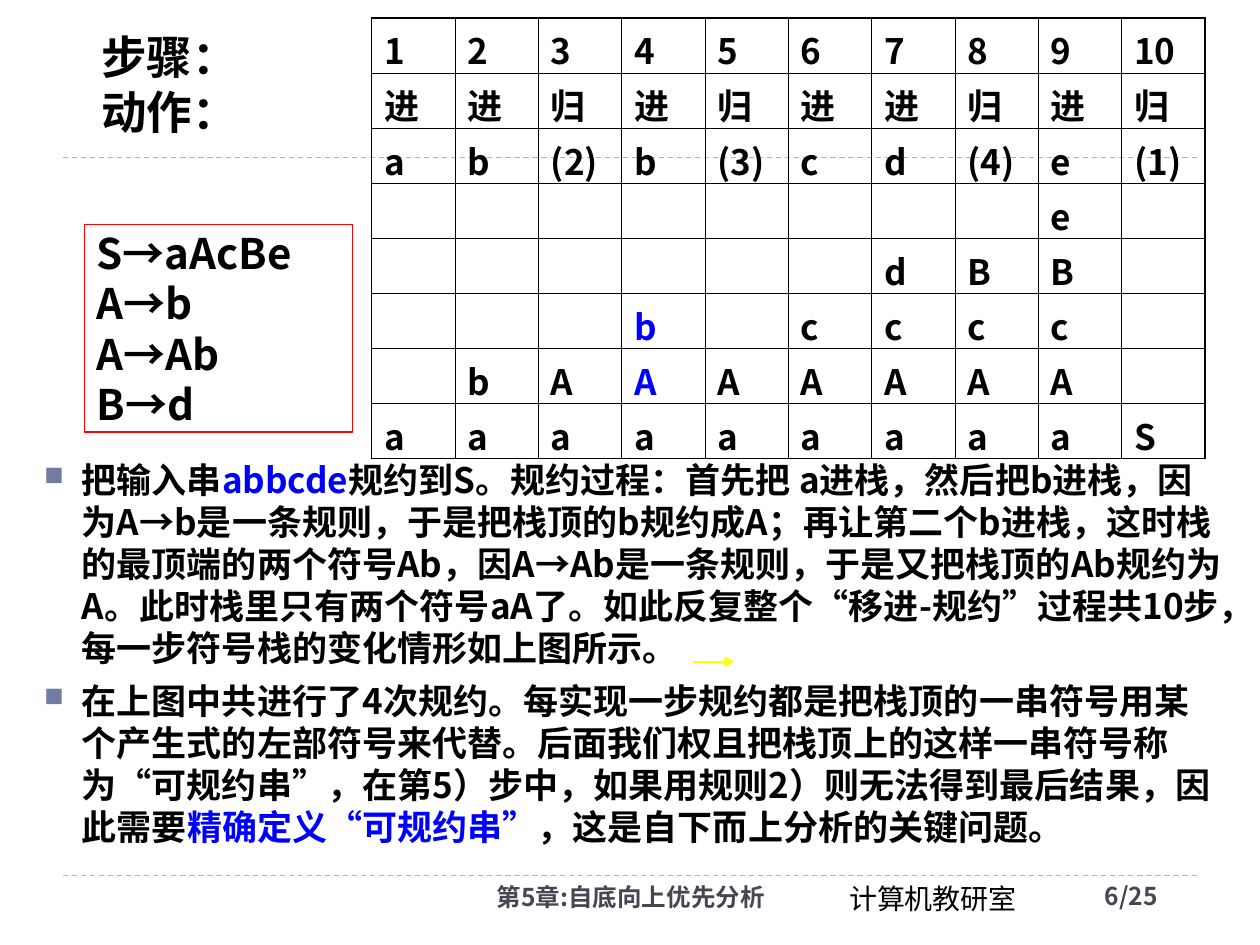
"""Build a slide on shift-reduce parsing with its stack table."""
from lxml.etree import SubElement
from pptx import Presentation
from pptx.dml.color import RGBColor
from pptx.enum.dml import MSO_LINE
from pptx.enum.shapes import MSO_CONNECTOR, MSO_SHAPE
from pptx.enum.text import MSO_ANCHOR, PP_ALIGN
from pptx.oxml.ns import qn
from pptx.util import Cm, Pt

SANS = "Noto Sans CJK SC"
BLACK, BLUE, SLATE = "000000", "0000FF", "464653"


def color(value):
    return RGBColor.from_string(value)


def write(para, spans, size, ink=BLACK, font=SANS, bold=True):
    for text, tint in spans:
        span = para.add_run()
        span.text = text
        if tint != ink:
            span.font.color.rgb = color(tint)
    para.font.size, para.font.bold, para.font.name = Pt(size), bold, font
    para.font.color.rgb = color(ink)
    SubElement(para.font._element, qn("a:ea"), typeface=SANS)


deck = Presentation()
deck.slide_width, deck.slide_height = Cm(25.4), Cm(19.05)
page = deck.slides.add_slide(deck.slide_layouts[6])

rules = []
for left, right, top, tint, width in [
    (1.27, 24.13, 17.65, "9FB8CD", 0.74),
    (1.27, 24.13, 3.18, "9FB8CD", 0.74),
    (13.97, 14.81, 13.34, "FFFF00", 1.25),
]:
    rule = page.shapes.add_connector(MSO_CONNECTOR.STRAIGHT, Cm(left), Cm(top), Cm(right), Cm(top))
    rule.line.color.rgb, rule.line.width = color(tint), Pt(width)
    SubElement(rule._element.spPr, qn("a:effectLst"))
    rules.append(rule)
*dividers, arrow = rules
for divider in dividers:
    divider.line.dash_style = MSO_LINE.DASH
SubElement(arrow.line._get_or_add_ln(), qn("a:tailEnd"), type="triangle")

for text, left, top, width, height, size, ink, font, bold, align in [
    ("计算机教研室", 16.87, 17.65, 4.22, 0.94, 16, BLACK, "Times New Roman", False, PP_ALIGN.LEFT),
    ("第5章:自底向上优先分析", 5.94, 17.65, 9.73, 1.02, 14, SLATE, SANS, True, PP_ALIGN.RIGHT),
    ("6/25", 22.02, 17.63, 2.77, 1.02, 14, SLATE, SANS, True, PP_ALIGN.LEFT),
    ("步骤：\n动作：", 1.5, 0.46, 3.84, 2.46, 26, BLACK, SANS, True, PP_ALIGN.CENTER),
]:
    box = page.shapes.add_textbox(Cm(left), Cm(top), Cm(width), Cm(height))
    frame = box.text_frame
    frame.word_wrap = True
    for index, line in enumerate(text.split("\n")):
        para = frame.add_paragraph() if index else frame.paragraphs[0]
        para.alignment = align
        write(para, [(line, ink)], size, ink, font, bold)

body = page.shapes.add_textbox(Cm(0.64), Cm(9.12), Cm(24.26), Cm(8.41)).text_frame
body.word_wrap = True
explanations = [
    [
        ("把输入串", BLACK),
        ("abbcde", BLUE),
        ("规约到S。规约过程：首先把 a进栈，然后把b进栈，因为A→b是一条规则，"
         "于是把栈顶的b规约成A；再让第二个b进栈，这时栈的最顶端的两个符号Ab，"
         "因A→Ab是一条规则，于是又把栈顶的Ab规约为A。此时栈里只有两个符号aA了。"
         "如此反复整个“移进-规约”过程共10步，每一步符号栈的变化情形如上图所示。", BLACK),
    ],
    [
        ("在上图中共进行了4次规约。每实现一步规约都是把栈顶的一串符号用某个产生式的"
         "左部符号来代替。后面我们权且把栈顶上的这样一串符号称为“可规约串”，"
         "在第5）步中，如果用规则2）则无法得到最后结果，因此需要", BLACK),
        ("精确定义“可规约串”", BLUE),
        ("，这是自下而上分析的关键问题。", BLACK),
    ],
]
for index, spans in enumerate(explanations):
    para = body.add_paragraph() if index else body.paragraphs[0]
    para.space_before = Pt(6)
    props = para._p.get_or_add_pPr()
    props.set("marL", str(Cm(0.76)))
    props.set("indent", str(Cm(-0.76)))
    SubElement(SubElement(props, qn("a:buClr")), qn("a:srgbClr"), val="727CA3")
    SubElement(props, qn("a:buSzPct"), val="76000")
    SubElement(props, qn("a:buChar"), char="■")
    write(para, spans, 20)

steps = [
    [str(number) for number in range(1, 11)],
    list("进进归进归进进归进归"),
    ["a", "b", "(2)", "b", "(3)", "c", "d", "(4)", "e", "(1)"],
]
stacks = ["a", "ab", "aA", "aAb", "aA", "aAc", "aAcd", "aAcB", "aAcBe", "S"]
depth = max(len(stack) for stack in stacks)
rows = steps + [[stack[level:level + 1] for stack in stacks] for level in reversed(range(depth))]
last_row, last_column = len(rows) - 1, len(stacks) - 1
holder = page.shapes.add_table(len(rows), len(stacks), Cm(7.49), Cm(0.36), Cm(16.8), Cm(8.88))
table = holder.table
table.first_row = table.horz_banding = False
for column in table.columns:
    column.width = Cm(1.68)
for row_index, row in enumerate(rows):
    table.rows[row_index].height = Cm(1.11)
    for column_index, text in enumerate(row):
        cell = table.cell(row_index, column_index)
        para = cell.text_frame.paragraphs[0]
        para.space_before = Pt(5)
        ink = BLUE if column_index == 3 and text and row_index >= 5 and row_index < last_row else BLACK
        write(para, [(text, ink)] if text else [], 20, ink)
        props = cell._tc.get_or_add_tcPr()
        for side, outer in [("L", column_index == 0), ("R", column_index == last_column),
                            ("T", row_index == 0), ("B", row_index == last_row)]:
            border = SubElement(props, qn("a:ln" + side), w=str(Pt(1.08 if outer else 0.45)))
            SubElement(SubElement(border, qn("a:solidFill")), qn("a:srgbClr"), val=BLACK)
        cell.fill.background()

grammar = page.shapes.add_shape(MSO_SHAPE.RECTANGLE, Cm(1.7), Cm(4.52), Cm(5.41), Cm(4.19))
grammar.shadow.inherit = False
grammar.fill.background()
grammar.line.color.rgb, grammar.line.width = color("FF0000"), Pt(0.74)
frame = grammar.text_frame
frame.word_wrap = False
frame.vertical_anchor = MSO_ANCHOR.MIDDLE
for index, production in enumerate(["S→aAcBe", "A→b", "A→Ab", "B→d"]):
    para = frame.add_paragraph() if index else frame.paragraphs[0]
    para.alignment = PP_ALIGN.LEFT
    write(para, [(production, BLACK)], 24)

deck.save("out.pptx")
